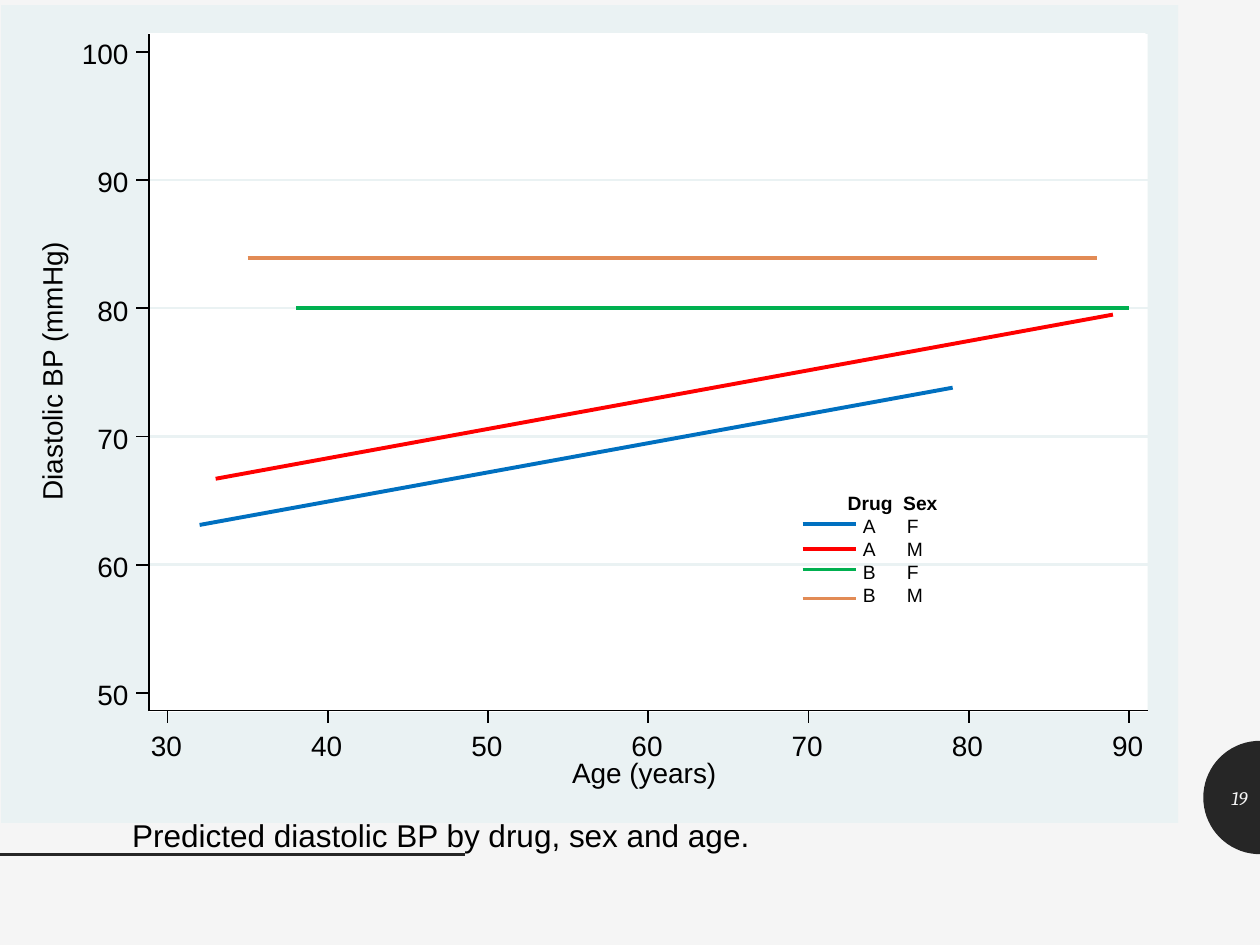
import math

from lxml import etree
from pptx import Presentation
from pptx import util as u
from pptx.dml.color import RGBColor
from pptx.enum import shapes, text
from pptx.oxml import ns

PAPER = RGBColor(0xF5, 0xF5, 0xF5)
DARK = RGBColor(0x26, 0x26, 0x26)
FRAME = RGBColor(0xEA, 0xF2, 0xF3)
WHITE = RGBColor(0xFF, 0xFF, 0xFF)
BLACK = RGBColor(0, 0, 0)
BLUE = RGBColor(0x00, 0x70, 0xC0)
RED = RGBColor(0xFF, 0, 0)
GREEN = RGBColor(0x00, 0xB0, 0x50)
ORANGE = RGBColor(0xE2, 0x8B, 0x55)

CAPTION = "Predicted diastolic BP by drug, sex and age."
PAGE = "19"
AGE_TITLE = "Age (years)"
BP_TITLE = "Diastolic BP (mmHg)"
AGES = range(30, 91, 10)
PRESSURES = range(50, 101, 10)
GRID_PRESSURES = range(60, 91, 10)
TRENDS = [
    ("A", "F", BLUE, (32, 63.1), (79, 73.8), 4.16),
    ("A", "M", RED, (33, 66.7), (89, 79.5), 4.36),
    ("B", "F", GREEN, (38, 80), (90, 80), 4.52),
    ("B", "M", ORANGE, (35, 83.9), (88, 83.9), 4.75),
]
PANELS = [
    (0.01, 0.04, 9.34, 6.49, FRAME, None),
    (0.01, 0.04, 9.33, 6.48, FRAME, None),
    (0.02, 0.05, 9.32, 6.47, None, FRAME),
    (1.18, 0.27, 7.93, 5.38, WHITE, None),
    (1.18, 0.27, 7.91, 5.36, None, WHITE),
]
LEFT, RIGHT, TOP, BOTTOM = 1.18, 9.11, 0.27, 5.64
TICK = 0.1
LEGEND_X, LEGEND_LENGTH = 6.37, 0.42

prs = Presentation()
prs.slide_width, prs.slide_height = u.Inches(10), u.Inches(7.5)
slide = prs.slides.add_slide(prs.slide_layouts[6])
slide.background.fill.solid()
slide.background.fill.fore_color.rgb = PAPER


def age_x(age):
    return 1.33 + (age - 30) * 7.63 / 60


def pressure_y(pressure):
    return 5.5 - (pressure - 50) * 5.09 / 50


def add_line(x1, y1, x2, y2, color, width):
    line = slide.shapes.add_connector(
        shapes.MSO_CONNECTOR.STRAIGHT, *map(u.Inches, (x1, y1, x2, y2)))
    line.line.color.rgb = color
    line.line.width = u.Pt(width)
    etree.SubElement(line._element.spPr, ns.qn("a:effectLst"))


def paint(shape, fill, outline=None):
    shape.shadow.inherit = False
    if fill is None:
        shape.fill.background()
    else:
        shape.fill.solid()
        shape.fill.fore_color.rgb = fill
    if outline is None:
        shape.line.fill.background()
    else:
        shape.line.color.rgb = outline
        shape.line.width = u.Pt(1)


def add_run(paragraph, words, size, color=BLACK, font="Arial", bold=False, italic=False):
    run = paragraph.add_run()
    run.text = words
    run.font.size, run.font.name = u.Pt(size), font
    run.font.bold, run.font.italic = bold, italic
    run.font.color.rgb = color


def add_box(left, top, width, height):
    box = slide.shapes.add_textbox(*map(u.Inches, (left, top, width, height)))
    box.text_frame.word_wrap = True
    return box


def add_label(words, left, top, width, align):
    box = add_box(left, top, width, 0.31)
    frame = box.text_frame
    frame.word_wrap = False
    frame.margin_left = frame.margin_right = frame.margin_top = frame.margin_bottom = 0
    frame.paragraphs[0].alignment = align
    add_run(frame.paragraphs[0], words, 16)
    return box


def add_page_number():
    center_y, radius = 6.33, 0.45
    arc = [(u.Inches(10 - radius * math.sin(math.radians(a))),
            u.Inches(center_y - radius * math.cos(math.radians(a))))
           for a in range(0, 181, 5)]
    builder = slide.shapes.build_freeform(*arc[0])
    builder.add_line_segments(arc[1:], close=True)
    paint(builder.convert_to_shape(), DARK)
    add_line(0, 6.78, 3.69, 6.78, DARK, 2)
    frame = add_box(9.55, 6.13, 0.45, 0.4).text_frame
    frame.vertical_anchor = text.MSO_ANCHOR.MIDDLE
    frame.paragraphs[0].alignment = text.PP_ALIGN.RIGHT
    add_run(frame.paragraphs[0], PAGE, 11, PAPER, "Cambria", italic=True)


def add_plot():
    for left, top, width, height, fill, outline in PANELS:
        panel = slide.shapes.add_shape(
            shapes.MSO_SHAPE.RECTANGLE, *map(u.Inches, (left, top, width, height)))
        paint(panel, fill, outline)
    for pressure in GRID_PRESSURES:
        y = pressure_y(pressure)
        add_line(LEFT, y, RIGHT, y, FRAME, 1.5)
    for _, _, color, start, end, _ in TRENDS:
        add_line(age_x(start[0]), pressure_y(start[1]),
                 age_x(end[0]), pressure_y(end[1]), color, 2.25)

    add_line(LEFT, BOTTOM, LEFT, TOP, BLACK, 1)
    for pressure in PRESSURES:
        y = pressure_y(pressure)
        add_line(LEFT, y, LEFT - TICK, y, BLACK, 1)
        add_label(str(pressure), 0.52, y - 0.12, 0.5, text.PP_ALIGN.RIGHT)
    add_label(BP_TITLE, -0.67, 2.79, 2.2, text.PP_ALIGN.CENTER).rotation = 270

    add_line(LEFT, BOTTOM, RIGHT, BOTTOM, BLACK, 1)
    for age in AGES:
        x = age_x(age)
        add_line(x, BOTTOM, x, BOTTOM + TICK, BLACK, 1)
        add_label(str(age), x - 0.2, 5.78, 0.38, text.PP_ALIGN.CENTER)
    add_label(AGE_TITLE, 4.54, 6, 1.38, text.PP_ALIGN.LEFT)


def add_legend():
    rows = [("Drug\tSex", (0.44,))]
    rows += [(f"\t{drug}\t{sex}", (0.12, 0.47)) for drug, sex, *_ in TRENDS]
    frame = add_box(6.63, 3.85, 1.17, 1.03).text_frame
    for i, (words, stops) in enumerate(rows):
        paragraph = frame.add_paragraph() if i else frame.paragraphs[0]
        tabs = etree.SubElement(paragraph._p.get_or_add_pPr(), ns.qn("a:tabLst"))
        for stop in stops:
            etree.SubElement(tabs, ns.qn("a:tab"), pos=str(u.Inches(stop)), algn="l")
        add_run(paragraph, words, 11, bold=i == 0)
    for _, _, color, _, _, y in TRENDS:
        add_line(LEGEND_X, y, LEGEND_X + LEGEND_LENGTH, y, color, 2.25)


add_page_number()
add_plot()
add_legend()
caption = add_box(0.95, 6.43, 8.19, 0.4).text_frame
add_run(caption.paragraphs[0], CAPTION, 18)
prs.save("out.pptx")
